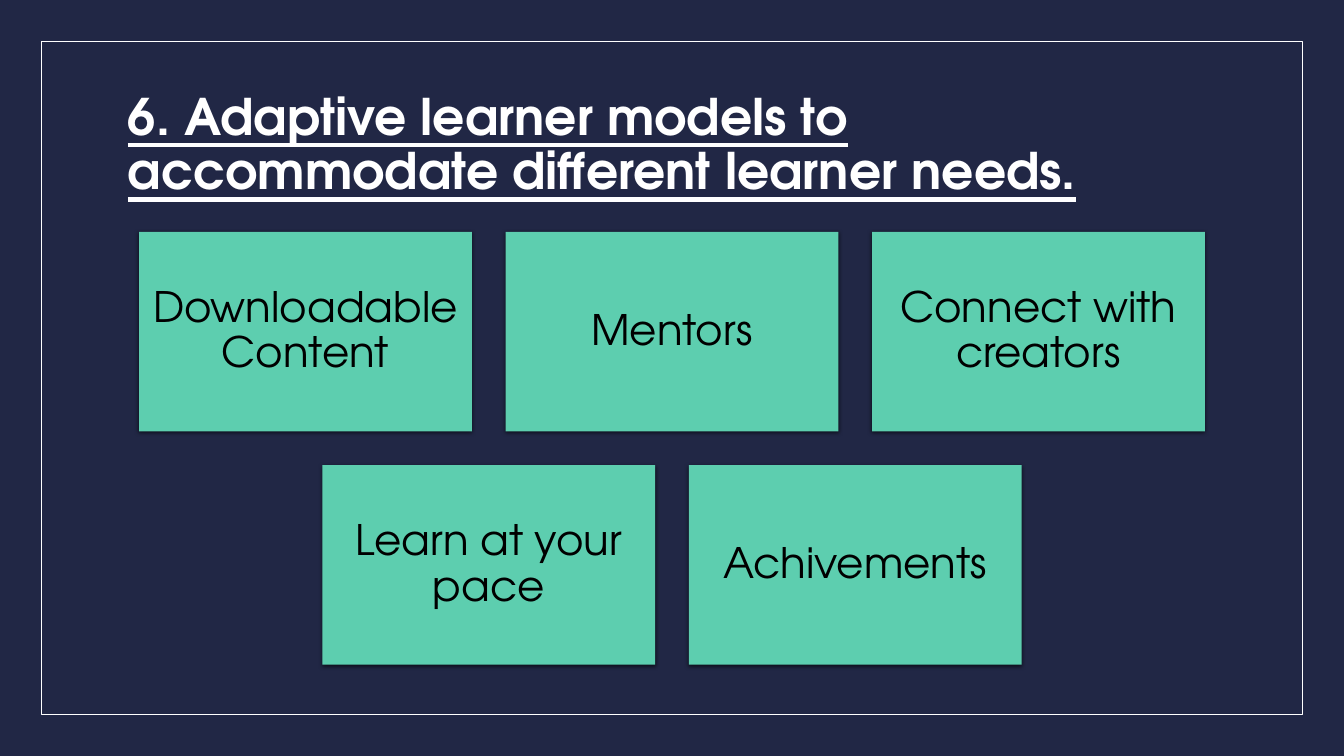
from dataclasses import dataclass

import pptx
import pptx.util
import pptx.dml.color
import pptx.enum.shapes
import pptx.enum.text
import pptx.oxml
import pptx.oxml.ns

Inches = pptx.util.Inches
Pt = pptx.util.Pt
Align = pptx.enum.text.PP_ALIGN


@dataclass(frozen=True)
class Theme:
    back: str = "212745"
    card: str = "5DCEAF"
    light: str = "FFFFFF"
    dark: str = "000000"
    font: str = "TeX Gyre Adventor"
    head: int = 36
    body: int = 30


THEME = Theme()
WIDE, HIGH = 13.33, 7.5
CARD_W, CARD_H, GAP, TOP = 3.3, 1.98, 0.335, 2.3
ROWS = [
    ["Downloadable Content", "Mentors", "Connect with creators"],
    ["Learn at your pace", "Achivements"],
]


def color(code):
    return pptx.dml.color.RGBColor.from_string(code)


def write(frame, text, size, ink, align, bold=False):
    frame.word_wrap = True
    frame.vertical_anchor = pptx.enum.text.MSO_ANCHOR.MIDDLE
    para = frame.paragraphs[0]
    para.alignment = align
    para.line_spacing = 0.9
    run = para.add_run()
    run.text = text
    font = run.font
    font.name = THEME.font
    font.size = Pt(size)
    font.color.rgb = color(ink)
    font.bold = bold
    font.underline = bold


def add_rect(slide, left, top, width, height):
    rect = slide.shapes.add_shape(
        pptx.enum.shapes.MSO_SHAPE.RECTANGLE,
        Inches(left), Inches(top), Inches(width), Inches(height))
    rect.shadow.inherit = False
    return rect


def add_frame(slide, edge):
    rect = add_rect(slide, edge, edge, WIDE - 2 * edge, HIGH - 2 * edge)
    rect.fill.background()
    rect.line.color.rgb = color(THEME.light)
    rect.line.width = Pt(0.5)


def add_title(slide, text):
    box = slide.shapes.add_textbox(
        Inches(1.17), Inches(0.7), Inches(11), Inches(1.5))
    write(box.text_frame, text, THEME.head, THEME.light, Align.LEFT, True)


def add_shade(shape):
    space = pptx.oxml.ns.nsdecls("a")
    shade = pptx.oxml.parse_xml(
        f'<a:outerShdw {space} blurRad="{Pt(3)}" dist="{Pt(1)}" dir="5400000"'
        f' algn="ctr" rotWithShape="0"><a:srgbClr val="{THEME.dark}">'
        '<a:alpha val="63000"/></a:srgbClr></a:outerShdw>')
    shape.element.spPr.find(pptx.oxml.ns.qn("a:effectLst")).append(shade)


def add_card(slide, left, top, text):
    card = add_rect(slide, left, top, CARD_W, CARD_H)
    card.fill.solid()
    card.fill.fore_color.rgb = color(THEME.card)
    card.line.fill.background()
    add_shade(card)
    frame = card.text_frame
    frame.margin_left = frame.margin_right = Inches(0.12)
    frame.margin_top = frame.margin_bottom = Inches(0.12)
    write(frame, text, THEME.body, THEME.dark, Align.CENTER)


def add_cards(slide, rows):
    for row, names in enumerate(rows):
        span = len(names) * (CARD_W + GAP) - GAP
        left = (WIDE - span) / 2
        top = TOP + row * (CARD_H + GAP)
        for col, name in enumerate(names):
            add_card(slide, left + col * (CARD_W + GAP), top, name)


def main():
    deck = pptx.Presentation()
    deck.slide_width = Inches(WIDE)
    deck.slide_height = Inches(HIGH)
    slide = deck.slides.add_slide(deck.slide_layouts[6])
    fill = slide.background.fill
    fill.solid()
    fill.fore_color.rgb = color(THEME.back)
    add_frame(slide, 0.41)
    add_title(slide, "6. Adaptive learner models to accommodate "
                     "different learner needs.")
    add_cards(slide, ROWS)
    deck.save("out.pptx")


main()
